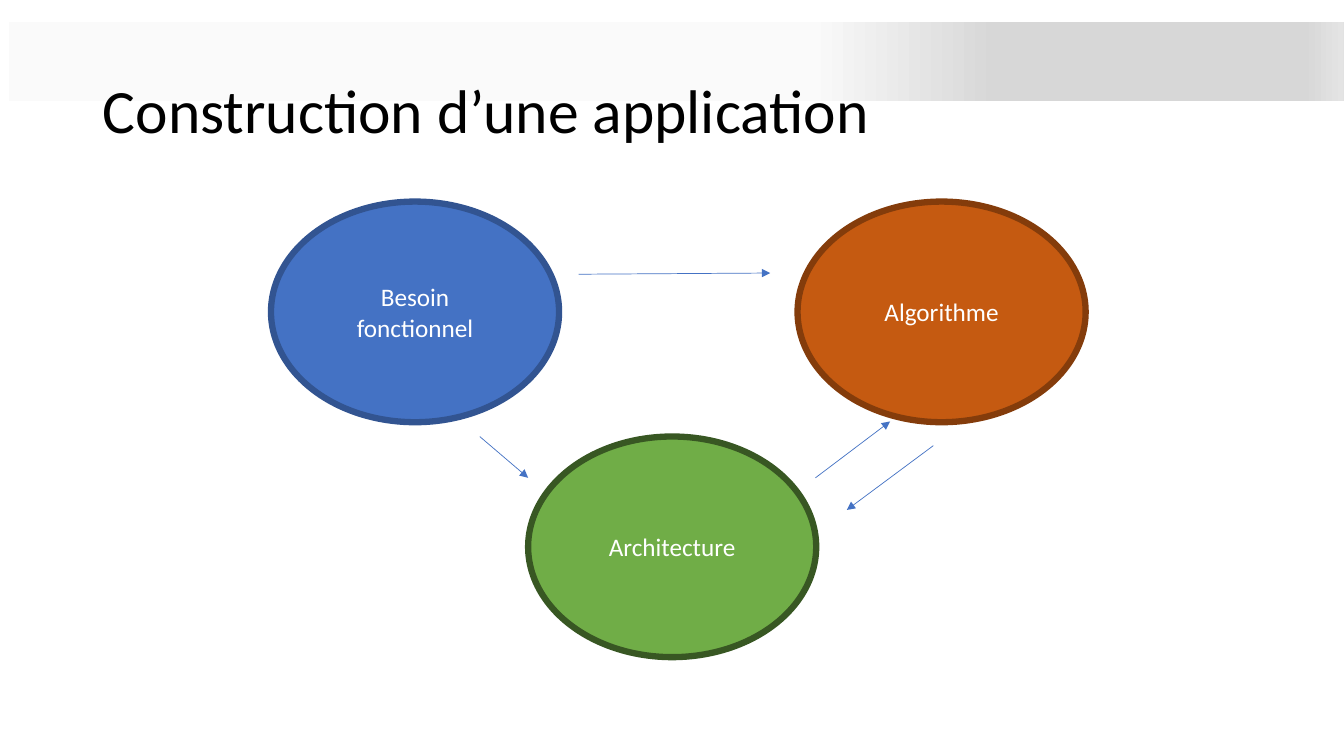
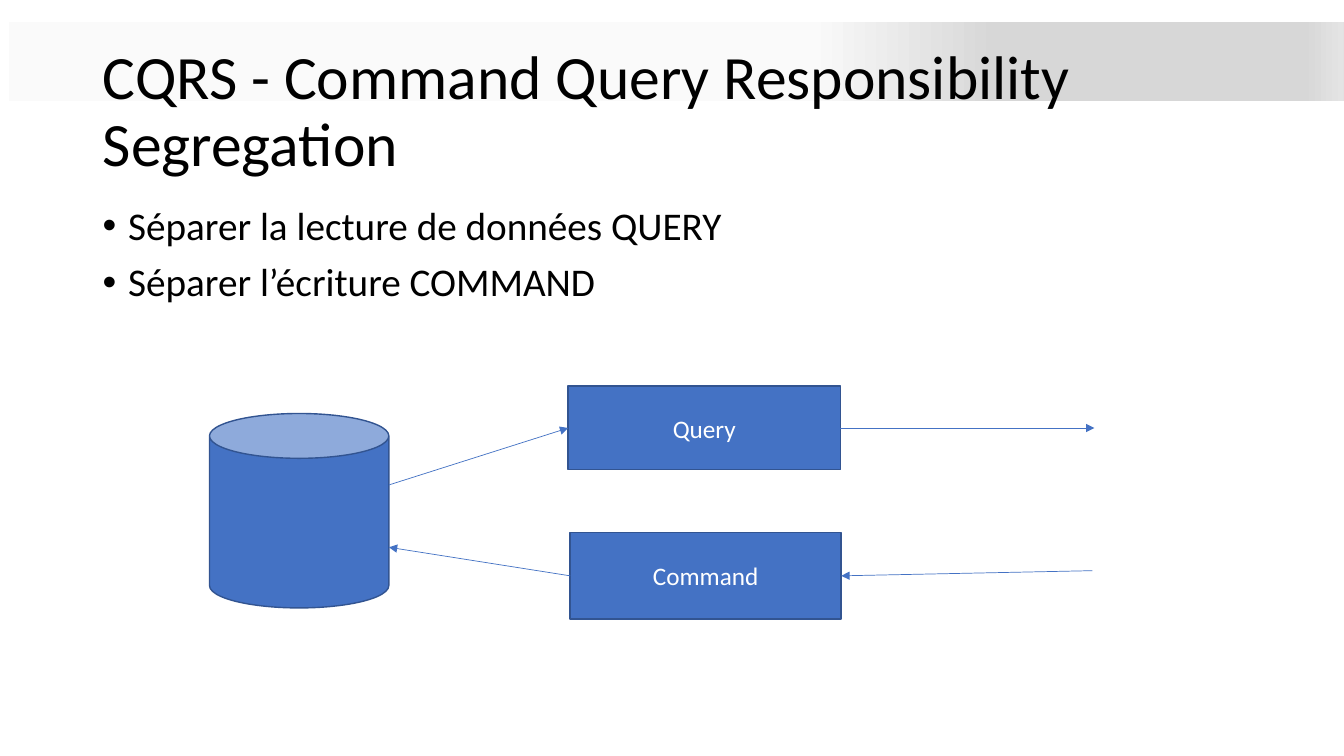
from lxml.etree import SubElement
from pptx import Presentation
from pptx.dml.color import RGBColor
from pptx.enum.shapes import MSO_CONNECTOR, MSO_SHAPE
from pptx.enum.text import MSO_ANCHOR, PP_ALIGN
from pptx.oxml.ns import qn
from pptx.util import Cm, Pt

COLOURS = {
    "text": "000000", "label": "FFFFFF",
    "blue": "4472C4", "dark blue": "325491",
    "orange": "C55A11", "dark orange": "843C0B",
    "green": "70AD47", "dark green": "385723",
    "band light": "FAFAFA", "band grey": "D7D7D7", "band end": "E4E4E4",
}
BAND_STOPS = [(60, "band light"), (74, "band grey"),
              (97, "band grey"), (100, "band end")]
FONT = "Calibri"
MARGIN = 2.34


def colour(name):
    return RGBColor.from_string(COLOURS[name])


def style_paragraph(paragraph, size, name):
    for span in paragraph.runs:
        span.font.name = FONT
        span.font.size = Pt(size)
        span.font.color.rgb = colour(name)


def add_band(page):
    """Gradient band behind the title."""
    band = page.shapes.add_shape(
        MSO_SHAPE.RECTANGLE, Cm(0.23), Cm(0.56), Cm(33.63), Cm(1.98))
    band.shadow.inherit = False
    band.line.fill.background()
    band.fill.gradient()
    band.fill.gradient_angle = 0
    stops = band._element.spPr.find(qn("a:gradFill")).find(qn("a:gsLst"))
    stops.clear()
    for percent, name in BAND_STOPS:
        stop = SubElement(stops, qn("a:gs"), pos=str(percent * 1000))
        SubElement(stop, qn("a:srgbClr"), val=COLOURS[name])


def add_title(page, text, width):
    box = page.shapes.add_textbox(Cm(MARGIN), Cm(1.01), Cm(width), Cm(3.68))
    frame = box.text_frame
    frame.word_wrap = True
    frame.vertical_anchor = MSO_ANCHOR.MIDDLE
    frame.text = text
    frame.paragraphs[0].line_spacing = 0.9
    style_paragraph(frame.paragraphs[0], 44, "text")


def add_page(deck, title, title_width=29.21):
    page = deck.slides.add_slide(deck.slide_layouts[6])
    add_band(page)
    add_title(page, title, title_width)
    return page


def add_bullets(page, items, left, top, width, height):
    box = page.shapes.add_textbox(Cm(left), Cm(top), Cm(width), Cm(height))
    frame = box.text_frame
    frame.word_wrap = True
    frame.text = "\n".join(items)
    for index, paragraph in enumerate(frame.paragraphs):
        properties = paragraph._p.get_or_add_pPr()
        properties.set("marL", str(Cm(0.64)))
        properties.set("indent", str(-Cm(0.64)))
        SubElement(properties, qn("a:buFont"), typeface="Arial")
        SubElement(properties, qn("a:buChar"), char="•")
        paragraph.line_spacing = 0.9
        paragraph.space_before = Pt(10 if index else 0)
        style_paragraph(paragraph, 28, "text")


def add_node(page, kind, left, top, width, height, text="",
             fill="blue", line_width=1):
    """Filled shape with a darker outline and a centred label."""
    node = page.shapes.add_shape(kind, Cm(left), Cm(top), Cm(width), Cm(height))
    node.shadow.inherit = False
    node.fill.solid()
    node.fill.fore_color.rgb = colour(fill)
    node.line.color.rgb = colour("dark " + fill)
    node.line.width = Pt(line_width)
    if text:
        frame = node.text_frame
        frame.vertical_anchor = MSO_ANCHOR.MIDDLE
        frame.text = text
        frame.paragraphs[0].alignment = PP_ALIGN.CENTER
        style_paragraph(frame.paragraphs[0], 18, "label")


def add_arrows(page, left, top, arrows):
    """Thin arrows whose ends are relative to the diagram corner."""
    for x1, y1, x2, y2 in arrows:
        arrow = page.shapes.add_connector(
            MSO_CONNECTOR.STRAIGHT, Cm(left + x1), Cm(top + y1),
            Cm(left + x2), Cm(top + y2))
        arrow.line.color.rgb = colour("blue")
        arrow.line.width = Pt(0.5)
        properties = arrow._element.spPr
        SubElement(properties.find(qn("a:ln")), qn("a:tailEnd"), type="triangle")
        SubElement(properties, qn("a:effectLst"))


def add_application_diagram(page, left, top, width, height):
    oval_width, oval_height = 7.26, 5.56
    ovals = [
        ("Besoin fonctionnel", "blue", 0, 0),
        ("Algorithme", "orange", width - oval_width, 0),
        ("Architecture", "green", 6.48, height - oval_height),
    ]
    for text, fill, x, y in ovals:
        add_node(page, MSO_SHAPE.OVAL, left + x, top + y,
                 oval_width, oval_height, text, fill, 4.5)
    add_arrows(page, left, top, [
        (7.75, 1.83, 12.58, 1.8),
        (16.69, 6.15, 14.51, 7.77),
        (13.72, 6.96, 15.6, 5.54),
        (5.26, 5.92, 6.48, 6.96),
    ])


def add_cqrs_diagram(page, left, top, width, height):
    store_width, query_left, query_width, query_height = 4.52, 9.04, 6.86, 2.11
    command_left, command_width, command_height = 9.09, 6.83, 2.18
    command_top = height - command_height
    query_middle = query_height / 2
    command_middle = command_top + command_height / 2

    # Data store and the two sides of the model
    add_node(page, MSO_SHAPE.CAN, left, top + 0.69, store_width, 4.9)
    add_node(page, MSO_SHAPE.RECTANGLE, left + query_left, top,
             query_width, query_height, "Query")
    add_node(page, MSO_SHAPE.RECTANGLE, left + command_left, top + command_top,
             command_width, command_height, "Command")

    # Reading goes right, writing goes left
    add_arrows(page, left, top, [
        (store_width, 2.49, query_left, query_middle),
        (command_left, command_middle, store_width, 4.06),
        (query_left + query_width, query_middle, width, query_middle),
        (width - 0.05, 4.65, command_left + command_width, command_middle),
    ])


def main():
    deck = Presentation()
    deck.slide_width, deck.slide_height = Cm(33.87), Cm(19.05)

    page = add_page(deck, "Construction d’une application")
    add_application_diagram(page, 6.83, 5.08, 20.53, 11.48)

    page = add_page(deck, "CQRS - Command Query Responsibility Segregation", 30.43)
    add_bullets(page, ["Séparer la lecture de données QUERY",
                       "Séparer l’écriture COMMAND"], MARGIN, 5.08, 29.21, 12.09)
    add_cqrs_diagram(page, 5.28, 9.73, 22.3, 5.87)

    deck.save("out.pptx")


if __name__ == "__main__":
    main()
